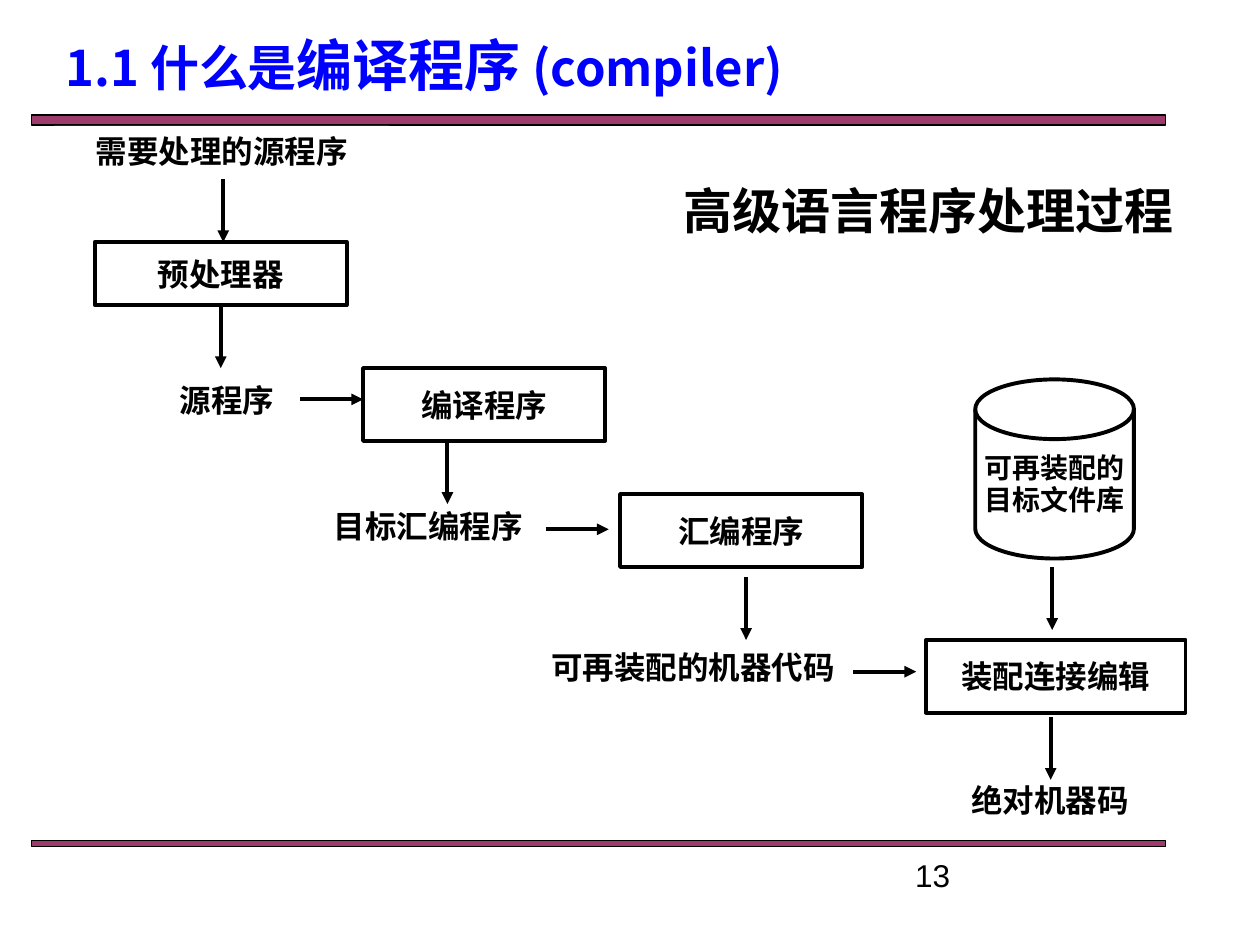
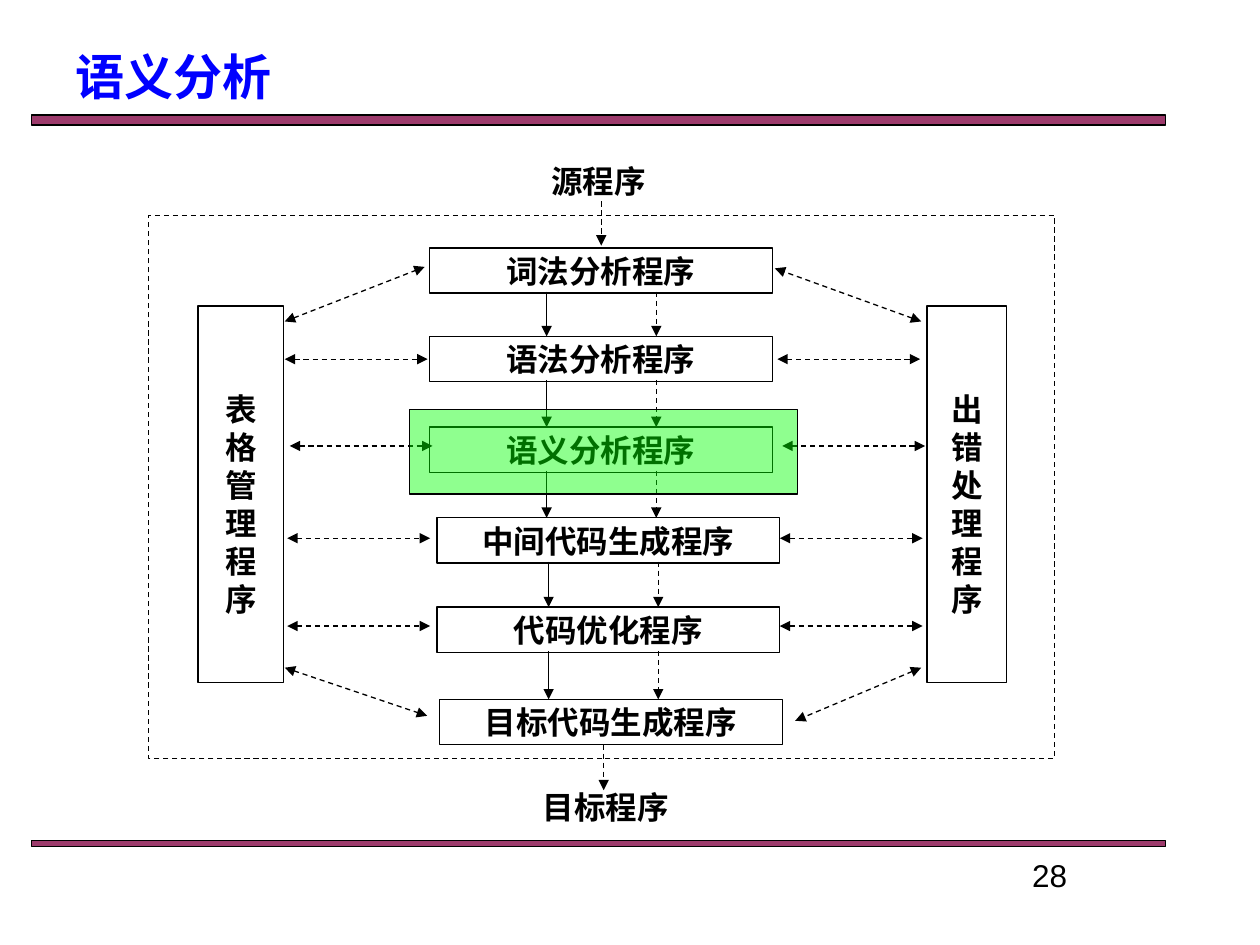
from itertools import pairwise

from lxml import etree
from pptx import Presentation
from pptx.dml.color import RGBColor
from pptx.enum.dml import MSO_LINE
from pptx.enum.shapes import MSO_CONNECTOR, MSO_SHAPE
from pptx.enum.text import MSO_ANCHOR, PP_ALIGN
from pptx.oxml.ns import qn
from pptx.util import Cm, Pt

BLACK = RGBColor(0x00, 0x00, 0x00)
WHITE = RGBColor(0xFF, 0xFF, 0xFF)
BLUE = RGBColor(0x00, 0x00, 0xFF)
PLUM = RGBColor(0x99, 0x33, 0x66)
GREEN = RGBColor(0x00, 0xFF, 0x00)

HAN_FONT = "Noto Sans CJK SC"
SERIF_FONT = "Times New Roman"
NUMBER_FONT = "Arial"

RECTANGLE = MSO_SHAPE.RECTANGLE
DISK = MSO_SHAPE.FLOWCHART_MAGNETIC_DISK
STRAIGHT = MSO_CONNECTOR.STRAIGHT
DASH = MSO_LINE.DASH
LEFT, CENTER = PP_ALIGN.LEFT, PP_ALIGN.CENTER
TOP, MIDDLE = MSO_ANCHOR.TOP, MSO_ANCHOR.MIDDLE

THICK, THIN = 2.25, 0.75


def add_span(para, text, size, color=BLACK, font=HAN_FONT, bold=True):
    span = para.add_run()
    span.text = text
    span.font.size = Pt(size)
    span.font.bold = bold
    span.font.name = font
    span.font.color.rgb = color
    east_asian = etree.SubElement(span._r.get_or_add_rPr(), qn("a:ea"))
    east_asian.set("typeface", HAN_FONT)


def write_lines(box, lines, size, font=HAN_FONT, anchor=MIDDLE, wrap=False, spacing=None):
    """Fill a box with centred bold paragraphs."""
    frame = box.text_frame
    frame.word_wrap = wrap
    frame.vertical_anchor = anchor
    for index, line in enumerate(lines):
        para = frame.add_paragraph() if index else frame.paragraphs[0]
        para.alignment = CENTER
        if spacing:
            para.line_spacing = Pt(spacing)
        add_span(para, line, size, font=font)


def add_block(page, area, fill=WHITE, line=BLACK, width=THIN, kind=RECTANGLE, opacity=None):
    """Add a flat shape; area is left, top, width and height in centimetres."""
    block = page.shapes.add_shape(kind, *map(Cm, area))
    block.shadow.inherit = False
    block.line.color.rgb = line
    block.line.width = Pt(width)
    if fill is None:
        block.fill.background()
    else:
        block.fill.solid()
        block.fill.fore_color.rgb = fill
    if opacity:
        color = block._element.spPr.find(qn("a:solidFill"))[0]
        etree.SubElement(color, qn("a:alpha")).set("val", str(opacity * 1000))
    return block


def add_arrow(page, start, end, width=THIN, dashed=False, double=False):
    arrow = page.shapes.add_connector(STRAIGHT, *map(Cm, (*start, *end)))
    arrow.line.color.rgb = BLACK
    arrow.line.width = Pt(width)
    if dashed:
        arrow.line.dash_style = DASH
    outline = arrow.line._get_or_add_ln()
    for tag in ("a:headEnd", "a:tailEnd") if double else ("a:tailEnd",):
        etree.SubElement(outline, qn(tag)).set("type", "triangle")
    etree.SubElement(arrow._element.spPr, qn("a:effectLst"))


def add_text_box(page, area):
    box = page.shapes.add_textbox(*map(Cm, area))
    box.text_frame.word_wrap = True
    return box


def add_page(deck):
    """Add a blank page with the two plum bands."""
    page = deck.slides.add_slide(deck.slide_layouts[6])
    for top, height in ((2.32, 0.2), (16.94, 0.13)):
        add_block(page, (0.64, top, 22.86, height), fill=PLUM, opacity=96)
    return page


def add_title(page, area, spans, anchor=MIDDLE, spacing=1.0):
    frame = add_text_box(page, area).text_frame
    frame.vertical_anchor = anchor
    para = frame.paragraphs[0]
    para.line_spacing = spacing
    for text, size in spans:
        add_span(para, text, size, BLUE)


def add_number(page, number, alignment):
    para = add_text_box(page, (18.2, 17.14, 5.92, 1.07)).text_frame.paragraphs[0]
    para.alignment = alignment
    add_span(para, number, 18, font=NUMBER_FONT, bold=False)


def build_processing_page(deck):
    page = add_page(deck)
    add_number(page, "13", LEFT)
    add_title(page, (1.07, 0.64, 22.86, 2.11),
              [("1.1 什么是", 28), ("编译程序", 32), (" (compiler)", 28)],
              anchor=TOP, spacing=0.9)

    tools = [
        ("预处理器", (1.91, 4.88, 5.08, 1.27)),
        ("编译程序", (7.32, 7.42, 4.88, 1.47)),
        ("汇编程序", (12.5, 9.96, 4.88, 1.47)),
        ("装配连接编辑", (18.67, 12.9, 5.23, 1.47)),
    ]
    for name, area in tools:
        write_lines(add_block(page, area, width=THICK), [name], 18)

    products = [
        ("需要处理的源程序", (1.09, 2.54, 6.76, 0.99), 18),
        ("源程序", (2.46, 7.42, 4.24, 1.27), 18),
        ("目标汇编程序", (5.88, 9.96, 5.51, 1.27), 18),
        ("可再装配的机器代码", (10.16, 12.7, 7.62, 1.47), 18),
        ("绝对机器码", (18.21, 15.49, 5.92, 1.27), 18),
        ("高级语言程序处理过程", (14.17, 2.97, 9.09, 2.54), 28),
    ]
    for name, area, size in products:
        write_lines(add_block(page, area, line=WHITE, width=0.5), [name], size)

    library = add_block(page, (19.66, 7.65, 3.2, 3.61), width=THICK, kind=DISK)
    write_lines(library, ["可再装配的", "目标文件库"], 16, spacing=18.5)

    length = 1.27
    for x, y in ((4.5, 3.61), (4.45, 6.15), (9.02, 8.89),
                 (15.04, 11.63), (21.21, 11.43), (21.18, 14.45)):
        add_arrow(page, (x, y), (x, y + length), THICK)
    for x, y in ((6.05, 8.05), (11, 10.67), (17.2, 13.54)):
        add_arrow(page, (x, y), (x + length, y), THICK)


def add_stages(page):
    """Add the six compiler stages with the arrows that join them."""
    stages = [
        ("词法分析程序", 8.66, 5),
        ("语法分析程序", 8.66, 6.78),
        ("语义分析程序", 8.66, 8.61),
        ("中间代码生成程序", 8.81, 10.44),
        ("代码优化程序", 8.81, 12.24),
        ("目标代码生成程序", 8.86, 14.1),
    ]
    width, height = 6.91, 0.91
    boxes = [add_block(page, (left, top, width, height)) for _, left, top in stages]
    boxes += [add_text_box(page, (left, top, width, height))
              for left, top in ((8.61, 3.18), (8.76, 15.8))]
    names = [name for name, _, _ in stages] + ["源程序", "目标程序"]
    for box, name in zip(boxes, names):
        box.text_frame.margin_top = Cm(0.08)
        write_lines(box, [name], 18, SERIF_FONT, TOP, wrap=True)

    for (_, left, top), (_, _, next_top) in pairwise(stages):
        x = 11.02 if left == 8.66 else 11.06
        for column, dashed in ((x, False), (x + 2.21, True)):
            add_arrow(page, (column, top + 0.88), (column, next_top), dashed=dashed)
    for x, start, end in ((12.12, 4.06, 4.95), (12.17, 15.01, 15.93)):
        add_arrow(page, (x, start), (x, end), dashed=True)


def add_side_links(page):
    """Join the stages to both side columns with two-headed arrows."""
    slanted = [
        ((5.74, 6.48), (8.56, 5.38)),
        ((5.74, 13.46), (8.61, 14.43)),
        ((18.57, 6.48), (15.62, 5.41)),
        ((18.57, 13.46), (16.03, 14.53)),
    ]
    level = [
        ((x + shift, y), (x + shift + 2.88, y))
        for x, y in ((5.74, 7.24), (5.84, 8.99), (5.79, 10.85), (5.79, 12.62))
        for shift in (0, 9.93)
    ]
    for start, end in slanted + level:
        add_arrow(page, start, end, dashed=True, double=True)


def build_semantic_page(deck):
    page = add_page(deck)
    add_stages(page)
    for name, left, width in (("表格管理程序", 3.99, 1.73), ("出错处理程序", 18.69, 1.6)):
        column = add_block(page, (left, 6.17, width, 7.59))
        column.text_frame.margin_top = Cm(0.38)
        column.text_frame.margin_bottom = 0
        write_lines(column, [name], 18, SERIF_FONT, wrap=True, spacing=21.7)
    add_side_links(page)

    compiler_frame = add_block(page, (3, 4.34, 18.26, 10.95), fill=None)
    compiler_frame.line.dash_style = DASH
    add_block(page, (8.26, 8.26, 7.82, 1.7), fill=GREEN, opacity=44)
    add_title(page, (1.27, 1.07, 22.86, 0.94), [("语义分析", 28)])
    add_number(page, "28", CENTER)


def main():
    deck = Presentation()
    deck.slide_width, deck.slide_height = Cm(25.4), Cm(19.05)
    build_processing_page(deck)
    build_semantic_page(deck)
    deck.save("out.pptx")


if __name__ == "__main__":
    main()
